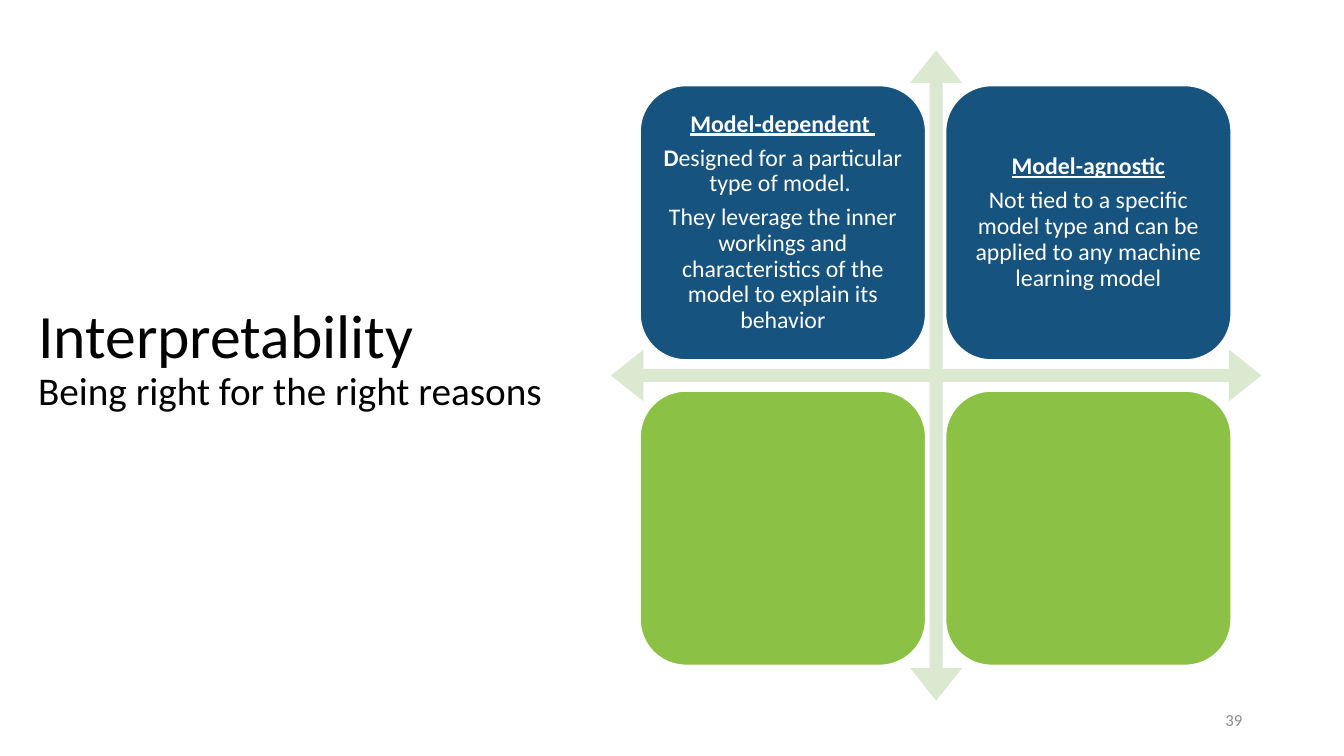
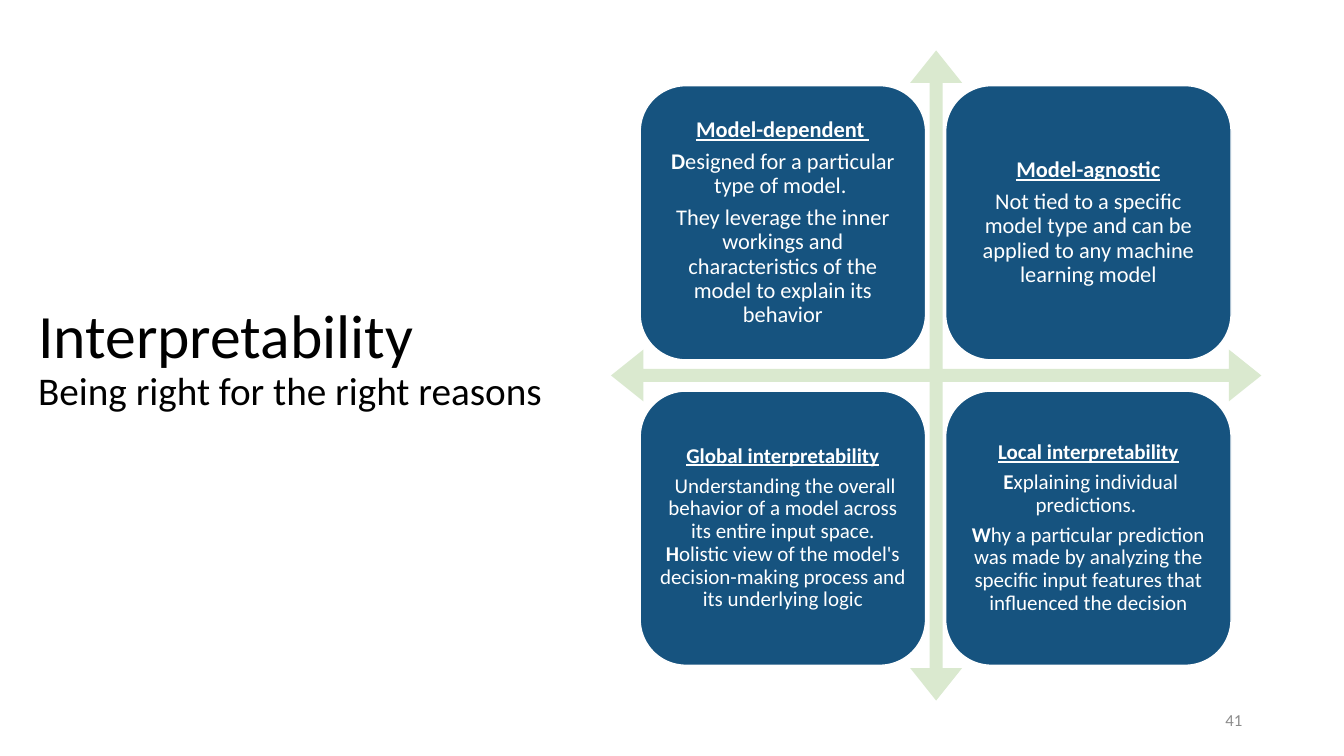
from dataclasses import dataclass

from pptx import Presentation
from pptx import util as u
from pptx.dml.color import RGBColor
from pptx.enum import shapes, text


@dataclass(frozen=True)
class Theme:
    font: str = "Calibri"
    ink: str = "000000"
    muted: str = "8C8C8C"
    light: str = "FFFFFF"
    arrow: str = "DAE9CF"
    filled_card: str = "16537F"
    empty_card: str = "8BC145"
    title_size: int = 44
    subtitle_size: int = 28
    number_size: int = 12
    line_spacing: float = 0.9
    paragraph_gap: float = 0.35  # share of the type size


THEME = Theme()

# Boxes: left, top, width, height in inches
TITLE_BOX = (0.28, 2.84, 5.75, 1.45)
NUMBER_BOX = (9.42, 6.95, 3, 0.4)
MATRIX_BOX = (6.06, 0.5, 6.45, 6.45)
CARD_OFFSET = (0.29, 0.35)
CARD_SIZE = (2.83, 2.72)
CARD_STEP = 3.03

# Cards: a heading, then paragraphs made of (text, bold) runs
MODEL_DEPENDENT = ("Model-dependent ", [
    [("D", True), ("esigned for a particular type of model. ", False)],
    [("They leverage the inner workings and characteristics of the model "
      "to explain its behavior", False)],
])
MODEL_AGNOSTIC = ("Model-agnostic", [
    [("Not tied to a specific model type and can be applied to any machine "
      "learning model", False)],
])
GLOBAL = ("Global interpretability", [
    [(" Understanding the overall behavior of a model across its entire "
      "input space. ", False),
     ("H", True),
     ("olistic view of the model's decision-making process and its "
      "underlying logic", False)],
])
LOCAL = ("Local interpretability", [
    [(" E", True), ("xplaining individual predictions. ", False)],
    [("W", True),
     ("hy a particular prediction was made by analyzing the specific input "
      "features that influenced the decision", False)],
])

# Slides: number, then (card, type size) by row; None is an empty card
SLIDES = [
    (39, [(MODEL_DEPENDENT, 17), (MODEL_AGNOSTIC, 17), (None, 0), (None, 0)]),
    (41, [(MODEL_DEPENDENT, 16), (MODEL_AGNOSTIC, 16),
          (GLOBAL, 15), (LOCAL, 15)]),
]


def inches(box):
    return [u.Inches(length) for length in box]


def style_run(run, size, color, bold=False, underline=False):
    run.font.name = THEME.font
    run.font.size = u.Pt(size)
    run.font.color.rgb = RGBColor.from_string(color)
    run.font.bold = bold
    run.font.underline = underline


def add_label(slide, box, words, sizes, color, alignment):
    """Add a middle-anchored text box, with one type size for each run."""
    text_frame = slide.shapes.add_textbox(*inches(box)).text_frame
    text_frame.word_wrap = True
    text_frame.vertical_anchor = text.MSO_ANCHOR.MIDDLE
    paragraph = text_frame.paragraphs[0]
    paragraph.text = words
    paragraph.alignment = alignment
    paragraph.line_spacing = THEME.line_spacing
    for run, size in zip(paragraph.runs, sizes):
        style_run(run, size, color)


def add_solid(group, kind, box, color):
    shape = group.shapes.add_shape(kind, *inches(box))
    shape.shadow.inherit = False
    shape.fill.solid()
    shape.fill.fore_color.rgb = RGBColor.from_string(color)
    shape.line.fill.background()
    return shape


def write_card(shape, card, size):
    heading, body = card
    text_frame = shape.text_frame
    text_frame.word_wrap = True
    text_frame.vertical_anchor = text.MSO_ANCHOR.MIDDLE
    inset = u.Inches(0.07 if size > 15 else 0.06)
    text_frame.margin_left = text_frame.margin_right = inset
    text_frame.margin_top = text_frame.margin_bottom = inset
    for index, runs in enumerate([[(heading, True)], *body]):
        paragraph = (text_frame.add_paragraph() if index
                     else text_frame.paragraphs[0])
        paragraph.alignment = text.PP_ALIGN.CENTER
        paragraph.line_spacing = THEME.line_spacing
        paragraph.space_after = u.Pt(round(size * THEME.paragraph_gap, 1))
        for words, bold in runs:
            run = paragraph.add_run()
            run.text = words
            style_run(run, size, THEME.light, bold, underline=index == 0)


def add_matrix(slide, box, cards):
    """Place a four-way arrow and its two-by-two cards in the box."""
    left, top = box[:2]
    group = slide.shapes.add_group_shape()

    # Four-way arrow
    arrow = add_solid(group, shapes.MSO_SHAPE.QUAD_ARROW, box, THEME.arrow)
    for index, value in enumerate((0.02, 0.04, 0.05)):
        arrow.adjustments[index] = value

    # Cards
    for index, (card, size) in enumerate(cards):
        row, column = divmod(index, 2)
        card_box = (left + CARD_OFFSET[0] + column * CARD_STEP,
                    top + CARD_OFFSET[1] + row * CARD_STEP, *CARD_SIZE)
        shape = add_solid(group, shapes.MSO_SHAPE.ROUNDED_RECTANGLE, card_box,
                          THEME.filled_card if card else THEME.empty_card)
        shape.line.color.rgb = RGBColor.from_string(THEME.light)
        shape.line.width = u.Pt(1)
        if card:
            write_card(shape, card, size)


def add_matrix_slide(presentation, number, cards):
    slide = presentation.slides.add_slide(presentation.slide_layouts[6])
    add_label(slide, NUMBER_BOX, str(number), [THEME.number_size],
              THEME.muted, text.PP_ALIGN.RIGHT)
    add_matrix(slide, MATRIX_BOX, cards)
    add_label(slide, TITLE_BOX,
              "Interpretability\vBeing right for the right reasons",
              [THEME.title_size, THEME.subtitle_size],
              THEME.ink, text.PP_ALIGN.LEFT)


def main():
    presentation = Presentation()
    presentation.slide_width = u.Inches(13.33)
    presentation.slide_height = u.Inches(7.5)
    for number, cards in SLIDES:
        add_matrix_slide(presentation, number, cards)
    presentation.save("out.pptx")


if __name__ == "__main__":
    main()
